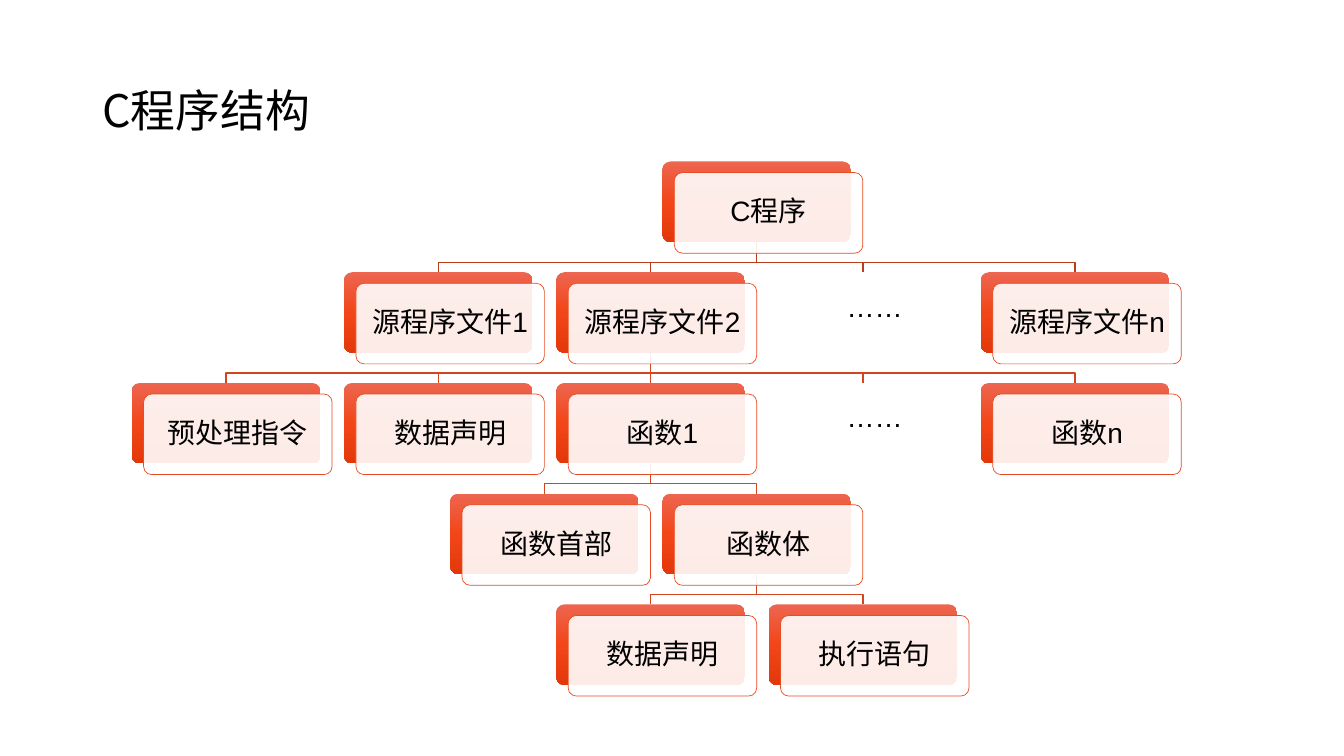
from copy import deepcopy
from dataclasses import dataclass
from typing import Optional

from pptx import Presentation
from pptx.dml.color import RGBColor
from pptx.enum.shapes import MSO_CONNECTOR, MSO_SHAPE
from pptx.enum.text import MSO_ANCHOR, PP_ALIGN
from pptx.oxml.ns import qn
from pptx.shapes.autoshape import Shape
from pptx.util import Cm, Pt

ROUNDED = MSO_SHAPE.ROUNDED_RECTANGLE
STRAIGHT = MSO_CONNECTOR.STRAIGHT
MIDDLE = MSO_ANCHOR.MIDDLE
LEFT, CENTER = PP_ALIGN.LEFT, PP_ALIGN.CENTER

CJK_FONT = "Noto Sans CJK SC"
LATIN_FONT = "Arial"
WHITE, BLACK, ORANGE = "FFFFFF", "000000", "E84C22"
FIRST_BRANCH, LOWER_BRANCH = "BA3D1B", "D3451F"
CARD_GRADIENT = ((0, "ED6650"), (0.5, "F24618"), (1, "E2380A"))

GRID_LEFT, GRID_TOP = 3.32, 4.07
COLUMN_STEP, ROW_STEP = 5.35, 2.79
CARD_WIDTH, CARD_HEIGHT = 4.75, 2.03
PANEL_SHIFT_X, PANEL_SHIFT_Y = 0.3, 0.28
ELLIPSIS_HEIGHT = 1.24
BRANCH_DROP = 0.51
ELLIPSIS = "……"


@dataclass(frozen=True)
class Node:
    label: str
    column: float
    row: int
    parent: Optional["Node"] = None

    @property
    def left(self) -> float:
        return GRID_LEFT + self.column * COLUMN_STEP

    @property
    def top(self) -> float:
        return GRID_TOP + self.row * ROW_STEP

    @property
    def center(self) -> float:
        return self.left + CARD_WIDTH / 2

    @property
    def bottom(self) -> float:
        return self.top + CARD_HEIGHT


def color(value: str) -> RGBColor:
    return RGBColor.from_string(value)


def write_text(shape: Shape, text: str, *, size: float, font: str,
               align: PP_ALIGN, inset: float) -> None:
    frame = shape.text_frame
    frame.word_wrap = True
    frame.vertical_anchor = MIDDLE
    frame.margin_left = frame.margin_right = Cm(inset)
    frame.margin_top = frame.margin_bottom = Cm(inset)
    paragraph = frame.paragraphs[0]
    paragraph.alignment = align
    paragraph.line_spacing = 0.9
    run = paragraph.add_run()
    run.text = text
    run.font.size = Pt(size)
    run.font.name = font
    run.font.color.rgb = color(BLACK)
    east_asian = run.font._element.makeelement(qn("a:ea"), {"typeface": CJK_FONT})
    run.font._element.append(east_asian)


def add_rounded(shapes, left: float, top: float) -> Shape:
    rounded = shapes.add_shape(ROUNDED, Cm(left), Cm(top), Cm(CARD_WIDTH), Cm(CARD_HEIGHT))
    rounded.adjustments[0] = 0.1
    rounded.shadow.inherit = False
    return rounded


def add_card(shapes, node: Node) -> Shape:
    card = add_rounded(shapes, node.left, node.top)
    card.line.fill.background()
    card.fill.gradient()
    card.fill.gradient_angle = 270
    stop_list = card._element.spPr.find(qn("a:gradFill")).find(qn("a:gsLst"))
    stop_list.append(deepcopy(stop_list[-1]))
    for stop, (position, value) in zip(card.fill.gradient_stops, CARD_GRADIENT):
        stop.position = position
        stop.color.rgb = color(value)
    return card


def add_panel(shapes, node: Node) -> Shape:
    panel = add_rounded(shapes, node.left + PANEL_SHIFT_X, node.top + PANEL_SHIFT_Y)
    panel.fill.solid()
    panel.fill.fore_color.rgb = color(WHITE)
    white = panel._element.spPr.find(qn("a:solidFill")).find(qn("a:srgbClr"))
    white.append(white.makeelement(qn("a:alpha"), {"val": "90000"}))
    panel.line.color.rgb = color(ORANGE)
    panel.line.width = Pt(0.5)
    return panel


def add_ellipsis(shapes, node: Node) -> Shape:
    return shapes.add_textbox(Cm(node.left + PANEL_SHIFT_X), Cm(node.top + PANEL_SHIFT_Y),
                              Cm(CARD_WIDTH), Cm(ELLIPSIS_HEIGHT))


def add_branch(shapes, parent: Node, child: Node, cards: dict[Node, Shape]) -> None:
    if parent.column == child.column:
        branch = shapes.add_connector(STRAIGHT, Cm(parent.center), Cm(parent.bottom),
                                      Cm(child.center), Cm(child.top))
        branch.begin_connect(cards[parent], 2)
        branch.end_connect(cards[child], 0)
        properties = branch._element.spPr
        properties.append(properties.makeelement(qn("a:effectLst"), {}))
    else:
        bend = Cm(parent.bottom + BRANCH_DROP)
        outline = shapes.build_freeform(Cm(parent.center), Cm(parent.bottom))
        outline.add_line_segments([(Cm(parent.center), bend), (Cm(child.center), bend),
                                   (Cm(child.center), Cm(child.top))], close=False)
        branch = outline.convert_to_shape()
        branch.fill.background()
        branch.shadow.inherit = False
    branch.line.color.rgb = color(LOWER_BRANCH if parent.row else FIRST_BRANCH)
    branch.line.width = Pt(1)


def program_tree() -> list[Node]:
    program = Node("C程序", 2.5, 0)
    second_file = Node("源程序文件2", 2, 1, program)
    first_function = Node("函数1", 2, 2, second_file)
    body = Node("函数体", 2.5, 3, first_function)
    return [
        program,
        Node("源程序文件1", 1, 1, program),
        second_file,
        Node(ELLIPSIS, 3, 1, program),
        Node("源程序文件n", 4, 1, program),
        Node("预处理指令", 0, 2, second_file),
        Node("数据声明", 1, 2, second_file),
        first_function,
        Node(ELLIPSIS, 3, 2, second_file),
        Node("函数n", 4, 2, second_file),
        Node("函数首部", 1.5, 3, first_function),
        body,
        Node("数据声明", 2, 4, body),
        Node("执行语句", 3, 4, body),
    ]


def main() -> None:
    presentation = Presentation()
    presentation.slide_width = Cm(33.87)
    presentation.slide_height = Cm(19.05)
    slide = presentation.slides.add_slide(presentation.slide_layouts[6])
    slide.background.fill.solid()
    slide.background.fill.fore_color.rgb = color(WHITE)
    shapes = slide.shapes

    title = shapes.add_textbox(Cm(2.33), Cm(1.02), Cm(29.21), Cm(3.68))
    write_text(title, "C程序结构", size=32, font=CJK_FONT, align=LEFT, inset=0.25)

    nodes = program_tree()
    cards = {node: add_card(shapes, node) for node in nodes if node.label != ELLIPSIS}
    for node in nodes:
        if node.parent:
            add_branch(shapes, node.parent, node, cards)
    for node in nodes:
        holder = add_panel(shapes, node) if node in cards else add_ellipsis(shapes, node)
        write_text(holder, node.label, size=20, font=LATIN_FONT, align=CENTER, inset=0.2)

    presentation.save("out.pptx")


if __name__ == "__main__":
    main()
